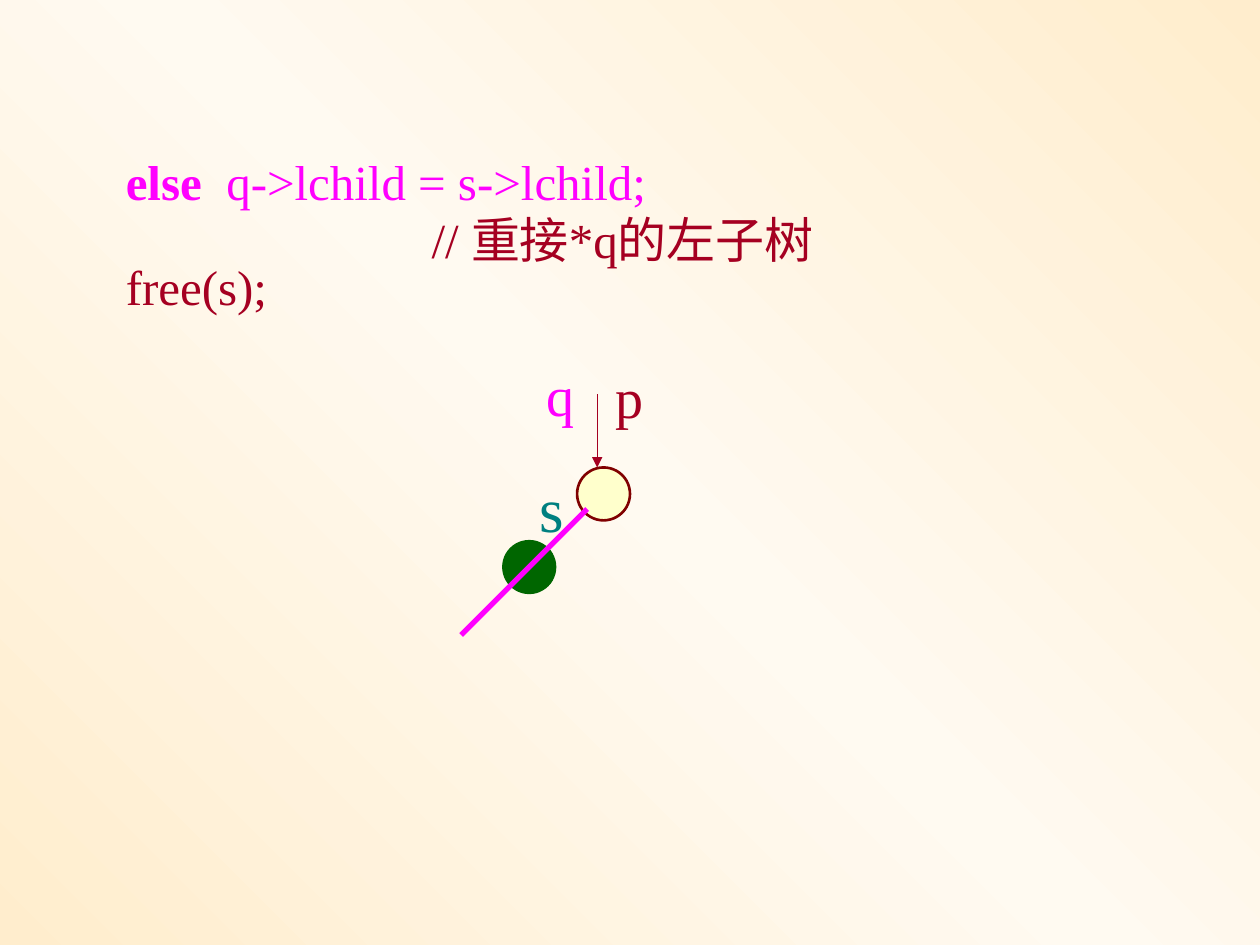
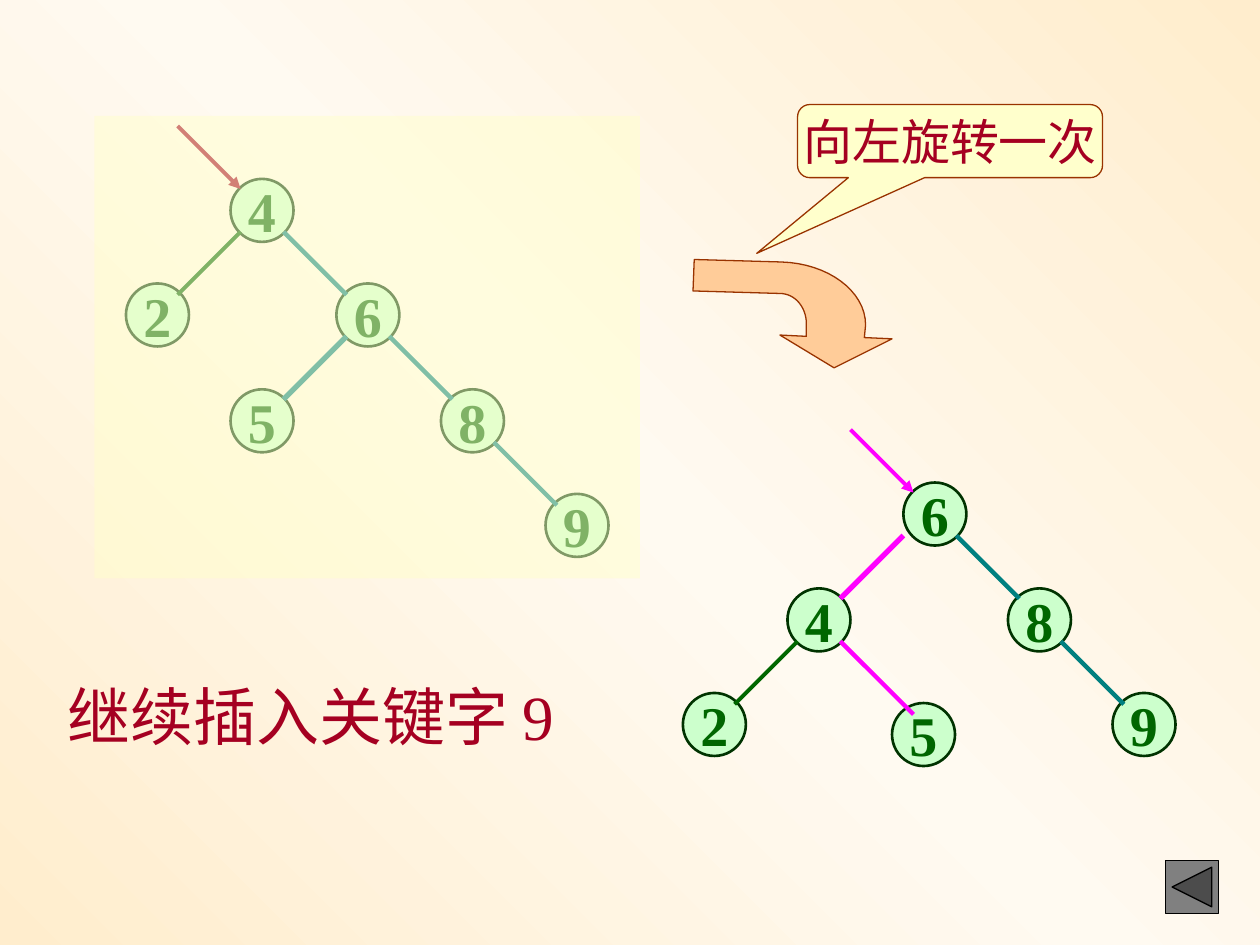
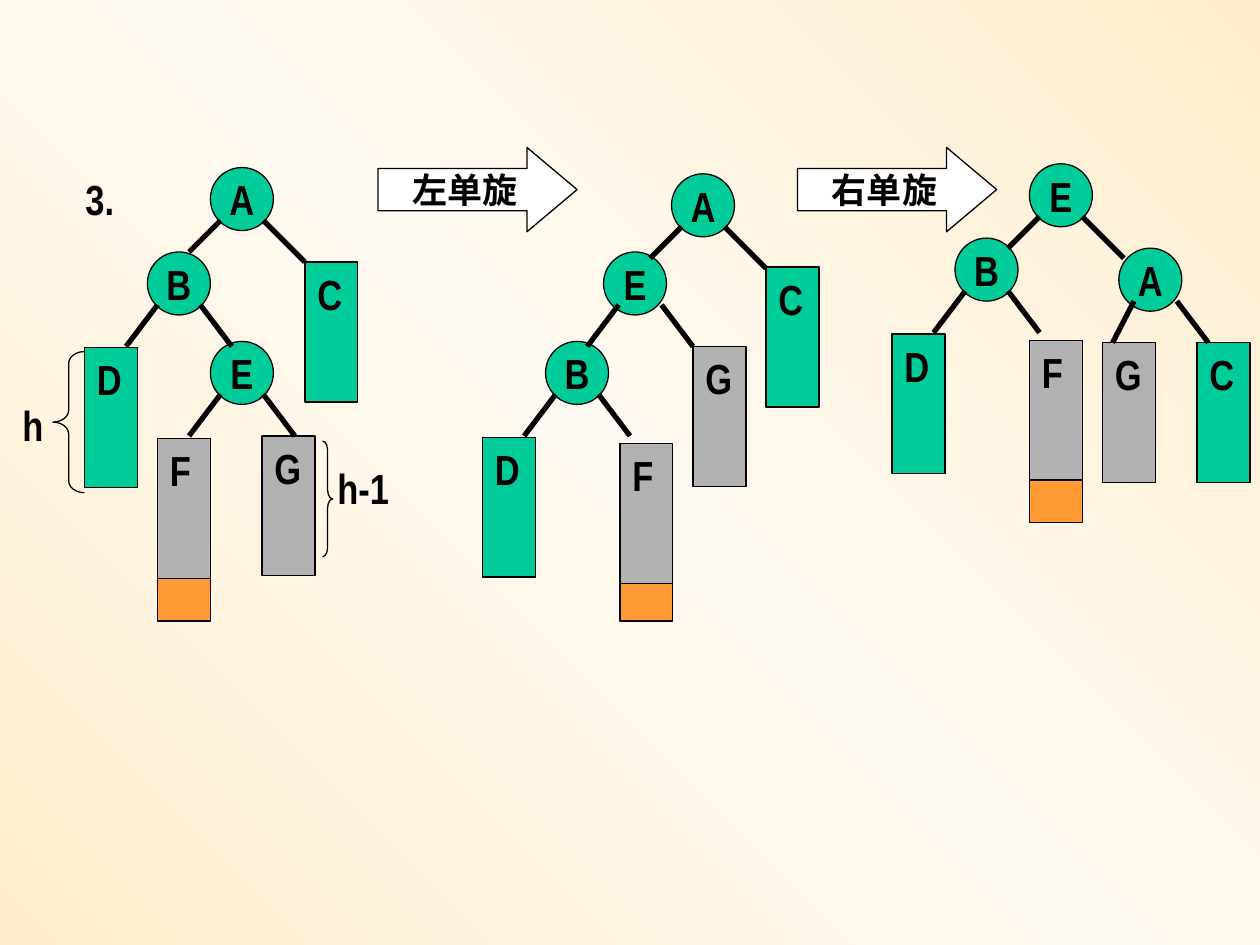
import copy
import dataclasses

import lxml.etree
import pptx
import pptx.dml.color
import pptx.enum.shapes
import pptx.enum.text
import pptx.oxml.ns
import pptx.util

Inches = pptx.util.Inches
SHAPE = pptx.enum.shapes.MSO_SHAPE
ALIGN = pptx.enum.text.PP_ALIGN
ANCHOR = pptx.enum.text.MSO_ANCHOR
qn = pptx.oxml.ns.qn

COLORS = {
    "edge of page": "FFEDCD", "middle of page": "FFFAF1",
    "red": "A50021", "magenta": "FF00FF", "teal": "008080",
    "green": "006600", "dark green": "003300", "mint": "CCFFCC",
    "cream": "FFFFCC", "maroon": "800000", "peach": "FFCC99",
    "rust": "993300", "dark gray": "808080", "gray": "B2B2B2",
    "jade": "00CC99", "orange": "FF9933", "white": "FFFFFF", "black": "000000",
}
SERIF = "Times New Roman"
NARROW = "Arial Narrow"
NODE = 0.5
RIM = 0.08  # where an edge meets a node's rim, measured from the node's box
BAR_WIDTH, BAR_HEIGHT = 0.42, 1.11


@dataclasses.dataclass
class Edge:
    """Branch leaving a node to the left (negative reach) or right."""
    parent: str
    reach: tuple
    color: str = "black"
    weight: float = 3
    nudge: float = 0


def rgb(name):
    return pptx.dml.color.RGBColor.from_string(COLORS[name])


def put_text(shape, *paragraphs, size=24, font=SERIF, color="red", bold=False,
             align=ALIGN.LEFT, anchor=ANCHOR.TOP, wrap=True, spacing=None):
    """Each paragraph is a string or a list of (text, colour, bold) runs."""
    frame = shape.text_frame
    frame.word_wrap = wrap
    frame.vertical_anchor = anchor
    for index, content in enumerate(paragraphs):
        paragraph = frame.add_paragraph() if index else frame.paragraphs[0]
        paragraph.alignment = align
        if spacing:
            paragraph.line_spacing = spacing
        runs = [(content, color, bold)] if isinstance(content, str) else content
        for text, run_color, run_bold in runs:
            run = paragraph.add_run()
            run.text = text
            run.font.name = font
            run.font.size = pptx.util.Pt(size)
            run.font.bold = run_bold
            run.font.color.rgb = rgb(run_color)


def label(shapes, left, top, width, height, *paragraphs, **text_format):
    box = shapes.add_textbox(*map(Inches, (left, top, width, height)))
    put_text(box, *paragraphs, **text_format)


def paint(shape, fill=None, line=None, weight=0.75):
    shape.shadow.inherit = False
    if fill:
        shape.fill.solid()
        shape.fill.fore_color.rgb = rgb(fill)
    else:
        shape.fill.background()
    if line:
        shape.line.color.rgb = rgb(line)
        shape.line.width = pptx.util.Pt(weight)
    else:
        shape.line.fill.background()


def add_figure(shapes, kind, left, top, width, height, adjustments=(), **style):
    figure = shapes.add_shape(kind, *map(Inches, (left, top, width, height)))
    for index, value in enumerate(adjustments):
        figure.adjustments[index] = value
    paint(figure, **style)
    return figure


def add_line(shapes, start, end, color, weight, arrow=False):
    line = shapes.add_connector(pptx.enum.shapes.MSO_CONNECTOR.STRAIGHT,
                                *map(Inches, (*start, *end)))
    line.line.color.rgb = rgb(color)
    line.line.width = pptx.util.Pt(weight)
    properties = line.element.spPr
    if arrow:
        outline = properties.find(qn("a:ln"))
        lxml.etree.SubElement(outline, qn("a:tailEnd"), type="triangle")
    lxml.etree.SubElement(properties, qn("a:effectLst"))


def set_page_background(master):
    fill = master.background.fill
    fill.gradient()
    fill.gradient_angle = 45
    stop_list = next(master.element.iter(qn("a:gsLst")))
    stop_list.insert(1, copy.deepcopy(stop_list[0]))
    tones = ("edge of page", "middle of page", "edge of page")
    for stop, position, tone in zip(fill.gradient_stops, (0, 0.5, 1), tones):
        stop.position = position
        stop.color.rgb = rgb(tone)


def draw_edges(shapes, left, top, nodes, edges):
    for edge in edges:
        x, y = nodes[edge.parent]
        dx, dy = edge.reach
        start_x = left + x + (RIM if dx < 0 else NODE - RIM) + edge.nudge
        start_y = top + y + NODE - RIM
        add_line(shapes, (start_x, start_y), (start_x + dx, start_y + dy),
                 edge.color, edge.weight)


def draw_nodes(shapes, left, top, nodes, fill, line, weight, **text_format):
    for key, (x, y) in nodes.items():
        node = add_figure(shapes, SHAPE.OVAL, left + x, top + y, NODE, NODE,
                          fill=fill, line=line, weight=weight)
        put_text(node, key, bold=True, align=ALIGN.CENTER,
                 anchor=ANCHOR.MIDDLE, wrap=False, **text_format)


# Deleting a node

def draw_deletion_code(shapes, left, top):
    label(shapes, left, top, 5.99, 1.03,
          [("else", "magenta", True),
           ("  q->lchild = s->lchild;", "magenta", False)],
          "                         // 重接*q的左子树", size=28)
    label(shapes, left, top + 0.72, 1.42, 0.68, "free(s);", size=28,
          spacing=1.25)


def draw_relinked_branch(shapes, left, top):
    size = 0.42
    add_figure(shapes, SHAPE.OVAL, left + 0.92, top + 0.9, size, size,
               fill="cream", line="maroon", weight=1.5)
    add_line(shapes, (left + 1.08, top + 0.32), (left + 1.08, top + 0.9),
             "red", 0.75, arrow=True)
    label(shapes, left + 1.13, top + 0.02, 0.42, 0.63, "p", size=32, wrap=False)
    add_figure(shapes, SHAPE.OVAL, left + 0.33, top + 1.48, size, size,
               fill="green", line="green")
    label(shapes, left + 0.58, top, 0.73, 0.63, "q", size=32, color="magenta")
    add_line(shapes, (left + 1, top + 1.23), (left, top + 2.23), "magenta", 3)
    label(shapes, left + 0.52, top + 0.87, 0.4, 0.7, "s", size=36,
          color="teal", wrap=False)


def build_deletion_slide(slide):
    draw_deletion_code(slide.shapes, 0.9, 1.15)
    draw_relinked_branch(slide.shapes, 3.66, 2.81)


# Inserting a key

def draw_key_tree(shapes, left, top, nodes, edges, root, pointer_color):
    draw_nodes(shapes, left, top, nodes, "mint", "dark green", 1.5,
               size=32, color="green")
    draw_edges(shapes, left, top, nodes, edges)
    x, y = left + nodes[root][0] + RIM, top + nodes[root][1] + RIM
    add_line(shapes, (x - 0.5, y - 0.5), (x, y), pointer_color, 2.25, arrow=True)


def draw_tree_before(shapes, left, top):
    nodes = {"4": (1.08, 0.5), "2": (0.25, 1.33), "6": (1.92, 1.33),
             "5": (1.08, 2.17), "8": (2.75, 2.17), "9": (3.58, 3)}
    edges = [Edge("4", (-0.5, 0.5), "green", 2.25),
             Edge("6", (-0.5, 0.5), "teal", 3)]
    edges += [Edge(key, (0.5, 0.5), "teal", 2.5) for key in "468"]
    draw_key_tree(shapes, left, top, nodes, edges, "4", "red")
    veil = add_figure(shapes, SHAPE.RECTANGLE, left, top, 4.33, 3.67,
                      fill="cream")
    tint = veil.element.spPr.find(qn("a:solidFill"))[0]
    lxml.etree.SubElement(tint, qn("a:alpha"), val="50000")


def draw_tree_after(shapes, left, top):
    nodes = {"6": (1.75, 0), "4": (0.83, 0.84), "2": (0, 1.67),
             "8": (2.58, 0.84), "9": (3.41, 1.67), "5": (1.66, 1.75)}
    edges = [Edge("4", (-0.5, 0.5), "green", 2.25),
             Edge("6", (-0.5, 0.5), "magenta", 3, nudge=-0.08),
             Edge("6", (0.5, 0.5), "teal", 2.5),
             Edge("8", (0.5, 0.5), "teal", 2.5),
             Edge("4", (0.58, 0.58), "magenta", 2.5)]
    draw_key_tree(shapes, left, top, nodes, edges, "6", "magenta")


def curve(start, control_1, control_2, end, steps=16):
    """Points after the start of a cubic curve."""
    points = []
    for step in range(1, steps + 1):
        t = step / steps
        weights = ((1 - t) ** 3, 3 * t * (1 - t) ** 2, 3 * t * t * (1 - t), t ** 3)
        corners = (start, control_1, control_2, end)
        points.append(tuple(sum(w * corner[axis] for w, corner in
                                zip(weights, corners)) for axis in (0, 1)))
    return points


def draw_rotation_arrow(shapes, left, top):
    outline = [(1.12, 0.86), (1.58, 0.63), (1.36, 0.62), (1.37, 0.52)]
    outline += curve(outline[-1], (1.37, 0.25), (1.07, 0.03), (0.7, 0.02))
    outline += [(0.01, 0), (0, 0.25), (0.69, 0.27)]
    outline += curve(outline[-1], (0.81, 0.27), (0.9, 0.38), (0.9, 0.51))
    outline += [(0.9, 0.61), (0.69, 0.6)]
    points = [(Inches(left + x), Inches(top + y)) for x, y in outline]
    builder = shapes.build_freeform(*points[0])
    builder.add_line_segments(points[1:], close=True)
    paint(builder.convert_to_shape(), "peach", "rust")


def draw_rotation_step(shapes, left, top):
    draw_rotation_arrow(shapes, left, top + 1.23)
    callout = add_figure(shapes, SHAPE.ROUNDED_RECTANGULAR_CALLOUT,
                         left + 0.83, top, 2.42, 0.58, (-0.634, 1.536, 0.167),
                         fill="cream", line="rust")
    put_text(callout, "向左旋转一次", size=28, align=ALIGN.CENTER,
             anchor=ANCHOR.MIDDLE, wrap=False)


def build_insertion_slide(slide):
    shapes = slide.shapes
    draw_tree_before(shapes, 0.75, 0.92)
    draw_tree_after(shapes, 5.42, 3.83)
    draw_rotation_step(shapes, 5.5, 0.83)
    label(shapes, 0.44, 5.33, 4.39, 0.7, "继续插入关键字 9", size=36)
    add_figure(shapes, SHAPE.ACTION_BUTTON_BACK_OR_PREVIOUS,
               9.25, 6.83, 0.42, 0.42, fill="dark gray", line="black")


# Double rotation

BOLD_NARROW = {"font": NARROW, "color": "black", "bold": True}


def draw_subtree_diagram(shapes, left, top, nodes, bars, edges, new_leaf_drop):
    """Round nodes over tall subtrees; F has a new leaf below it."""
    x, y = bars["F"]
    add_figure(shapes, SHAPE.RECTANGLE, left + x, top + y + new_leaf_drop,
               BAR_WIDTH, 0.51, fill="orange", line="black")
    draw_nodes(shapes, left, top, nodes, "jade", "black", 0.75,
               font=NARROW, color="black")
    for key, (x, y) in bars.items():
        bar = add_figure(shapes, SHAPE.RECTANGLE, left + x, top + y,
                         BAR_WIDTH, BAR_HEIGHT, line="black",
                         fill="gray" if key in "FG" else "jade")
        put_text(bar, key, **BOLD_NARROW)
    draw_edges(shapes, left, top, nodes, edges)


def draw_unbalanced_tree(shapes, left, top):
    nodes = {"A": (1, 0), "B": (0.5, 0.67), "E": (1, 1.38)}
    bars = {"D": (0, 1.43), "C": (1.75, 0.75), "F": (0.58, 2.15),
            "G": (1.41, 2.13)}
    edges = [Edge("A", (-0.25, 0.25)), Edge("A", (0.33, 0.33))]
    edges += [Edge(key, (dx, 0.33)) for key in "BE" for dx in (-0.25, 0.25)]
    draw_subtree_diagram(shapes, left, top, nodes, bars, edges, 0.94)
    add_figure(shapes, SHAPE.LEFT_BRACE, left - 0.25, top + 1.46, 0.25, 1.12,
               (0.375, 0.5), line="black")
    add_figure(shapes, SHAPE.RIGHT_BRACE, left + 1.89, top + 2.17, 0.08, 0.92,
               (0.917, 0.5), line="black")
    for x, y, width, text in ((-0.59, 1.79, 0.42, "h"),
                              (1.91, 2.29, 0.83, "h-1"),
                              (-0.09, 0, 1.33, "3.")):
        label(shapes, left + x, top + y, width, 0.5, text, **BOLD_NARROW)


def draw_half_rotated_tree(shapes, left, top):
    nodes = {"A": (1.5, 0), "B": (0.5, 1.33), "E": (0.96, 0.62)}
    bars = {"D": (0, 2.09), "C": (2.25, 0.74), "F": (1.09, 2.14),
            "G": (1.67, 1.37)}
    edges = [Edge("A", (-0.25, 0.25)), Edge("A", (0.33, 0.33))]
    edges += [Edge(key, (dx, 0.33), nudge=nudge)
              for key, nudge in (("B", 0), ("E", 0.04)) for dx in (-0.25, 0.25)]
    draw_subtree_diagram(shapes, left, top, nodes, bars, edges, 0.9)


def draw_balanced_tree(shapes, left, top):
    nodes = {"A": (1.8, 0.67), "E": (1.09, 0), "B": (0.5, 0.59)}
    bars = {"D": (0, 1.35), "C": (2.42, 1.42), "F": (1.09, 1.4),
            "G": (1.67, 1.42)}
    edges = [Edge("E", (-0.25, 0.25)), Edge("E", (0.33, 0.33)),
             Edge("B", (-0.25, 0.33)), Edge("B", (0.25, 0.33)),
             Edge("A", (0.25, 0.33), nudge=0.04),
             Edge("A", (-0.17, 0.33), nudge=0.04)]
    draw_subtree_diagram(shapes, left, top, nodes, bars, edges, 0.94)


def build_double_rotation_slide(slide):
    shapes = slide.shapes
    for draw_stage, left, top in ((draw_half_rotated_tree, 3.83, 1.38),
                                  (draw_balanced_tree, 7.08, 1.3),
                                  (draw_unbalanced_tree, 0.67, 1.33)):
        draw_stage(shapes.add_group_shape().shapes, left, top)
    for left, rotation in ((3, "左单旋"), (6.33, "右单旋")):
        arrow = add_figure(shapes, SHAPE.RIGHT_ARROW, left, 1.17, 1.58, 0.67,
                           (0.5, 0.594), fill="white", line="black")
        put_text(arrow, rotation, size=20, align=ALIGN.CENTER,
                 anchor=ANCHOR.MIDDLE, wrap=False, **BOLD_NARROW)


def main():
    deck = pptx.Presentation()
    deck.slide_width, deck.slide_height = Inches(10), Inches(7.5)
    set_page_background(deck.slide_master)
    blank = deck.slide_layouts[6]
    for build in (build_deletion_slide, build_insertion_slide,
                  build_double_rotation_slide):
        build(deck.slides.add_slide(blank))
    deck.save("out.pptx")


if __name__ == "__main__":
    main()
